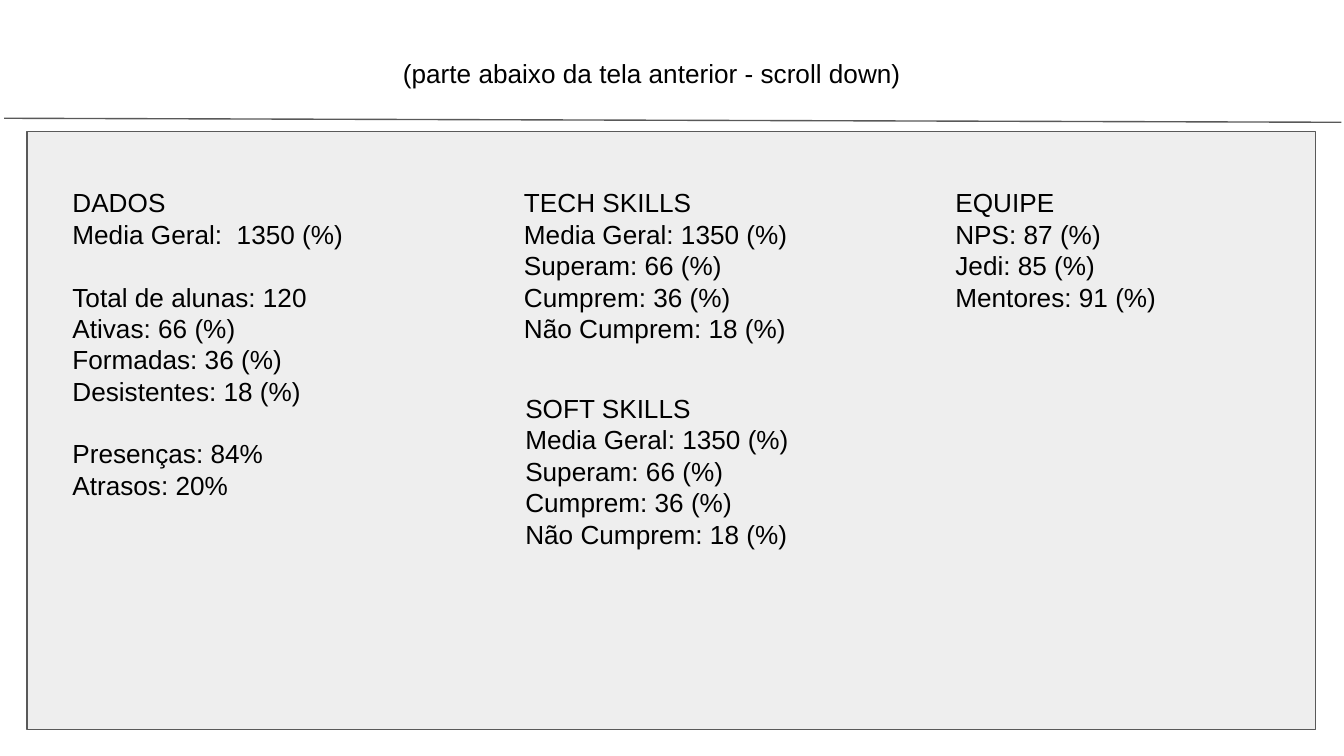
from pptx import Presentation
from pptx.dml.color import RGBColor
from pptx.enum.shapes import MSO_CONNECTOR, MSO_SHAPE
from pptx.enum.text import MSO_ANCHOR
from pptx.oxml.ns import qn
from pptx.util import Inches, Pt
from lxml.etree import SubElement

C = {k: RGBColor.from_string(v) for k, v in {
    "panel": "EEEEEE", "line": "595959", "text": "000000"}.items()}
ROW, COL_W, LINE_H = 1.29, 2.41, 16.8

prs = Presentation()
prs.slide_width = Inches(10)
prs.slide_height = prs.slide_width * 9 // 16
s = prs.slides.add_slide(prs.slide_layouts[6])


def add_text(x, y, w, h, groups):
    tf = s.shapes.add_textbox(Inches(x), Inches(y), Inches(w), Inches(h)).text_frame
    tf.word_wrap = True
    tf.vertical_anchor = MSO_ANCHOR.TOP
    tf.margin_left = tf.margin_right = tf.margin_top = tf.margin_bottom = Inches(0.1)
    p = tf.paragraphs[0]
    for g, lines in enumerate(groups):
        for i, line in enumerate(lines):
            if g or i:
                p = tf.add_paragraph()
            if g and not i:
                p.space_before = Pt(LINE_H)
            r = p.add_run()
            r.text = line
            r.font.name, r.font.size = "Arial", Pt(14)
            r.font.color.rgb = C["text"]


divider = s.shapes.add_connector(
    MSO_CONNECTOR.STRAIGHT, Inches(0.03), Inches(0.88), Inches(9.98), Inches(0.91))
SubElement(divider._element.spPr, qn("a:effectLst"))

panel = s.shapes.add_shape(
    MSO_SHAPE.RECTANGLE, Inches(0.2), Inches(0.98), Inches(9.59), Inches(4.45))
panel.shadow.inherit = False
panel.fill.solid()
panel.fill.fore_color.rgb = C["panel"]

for sp in (divider, panel):
    sp.line.color.rgb = C["line"]
    sp.line.width = Pt(0.75)

add_text(0.44, ROW, COL_W, 2.5, [
    ["DADOS", "Media Geral:  1350 (%)"],
    ["Total de alunas: 120", "Ativas: 66 (%)", "Formadas: 36 (%)", "Desistentes: 18 (%)"],
    ["Presenças: 84%", "Atrasos: 20%"]])

skills = ["Media Geral: 1350 (%)", "Superam: 66 (%)", "Cumprem: 36 (%)", "Não Cumprem: 18 (%)"]
for title, x, y, h in (("SOFT SKILLS", 3.81, 2.82, 1.39), ("TECH SKILLS", 3.8, ROW, 1.33)):
    add_text(x, y, COL_W, h, [[title] + skills])

add_text(2.9, 0.33, 4.06, 0.48, [["(parte abaixo da tela anterior - scroll down)"]])

add_text(7.01, ROW, COL_W, 1.14, [
    ["EQUIPE", "NPS: 87 (%)", "Jedi: 85 (%)", "Mentores: 91 (%)"]])

prs.save("out.pptx")
